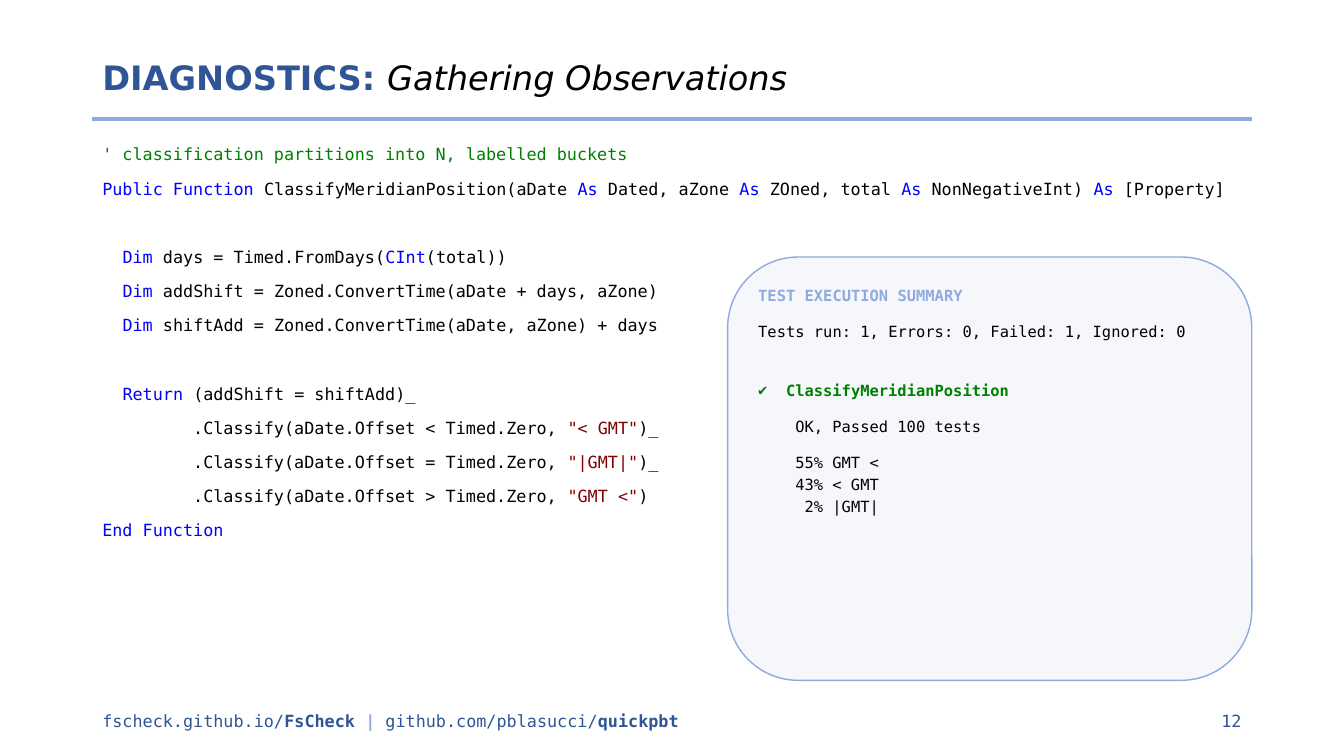
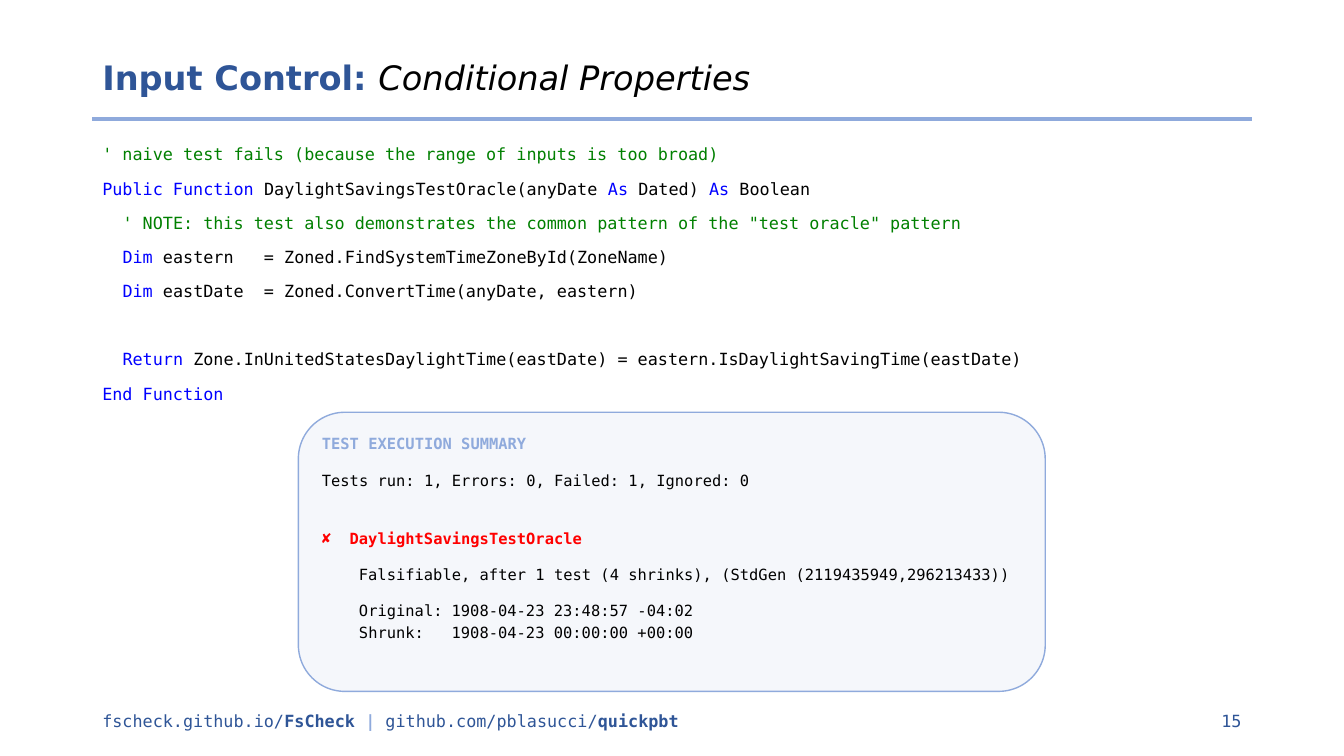
import pptx
import pptx.util
import pptx.dml.color
import pptx.enum.shapes
import pptx.enum.text
import pptx.oxml.ns
import lxml.etree
from dataclasses import dataclass

Pt = pptx.util.Pt
qn = pptx.oxml.ns.qn
Align = pptx.enum.text.PP_ALIGN
Anchor = pptx.enum.text.MSO_ANCHOR


@dataclass(frozen=True)
class Theme:
    sans: str = "DejaVu Sans"
    mono: str = "DejaVu Sans Mono"
    navy: str = "2F5597"
    sky: str = "8FAADC"
    pale: str = "DAE3F3"
    black: str = "000000"
    blue: str = "0000FF"
    green: str = "008000"
    maroon: str = "800000"
    red: str = "FF0000"
    head: float = 24
    body: float = 12
    small: float = 11
    gap: float = 10
    row: float = 14.4
    left: float = 66
    wide: float = 828


class Deck:
    def __init__(self, theme):
        self.theme = theme
        self.prs = pptx.Presentation()
        self.prs.slide_width, self.prs.slide_height = Pt(960), Pt(540)
        self.slide = None

    def color(self, code):
        return pptx.dml.color.RGBColor.from_string(code)

    def run(self, para, text, color, size=None, face=None, bold=False, italic=False):
        run = para.add_run()
        run.text = text
        font = run.font
        font.name = face or self.theme.mono
        font.size = Pt(size or self.theme.body)
        font.bold, font.italic = bold, italic
        font.color.rgb = self.color(color)

    def box(self, x, y, w, h, anchor=Anchor.MIDDLE):
        frame = self.slide.shapes.add_textbox(Pt(x), Pt(y), Pt(w), Pt(h)).text_frame
        frame.word_wrap = True
        frame.vertical_anchor = anchor
        return frame

    def page(self, topic, title, number):
        t = self.theme
        self.slide = self.prs.slides.add_slide(self.prs.slide_layouts[6])
        para = self.box(t.left, 29, t.wide, 56).paragraphs[0]
        para.line_spacing = 0.9
        self.run(para, topic + " ", t.navy, t.head, t.sans, bold=True)
        self.run(para, title, t.black, t.head, t.sans, italic=True)
        self.rule(85)
        self.foot(number)

    def rule(self, y):
        t = self.theme
        kind = pptx.enum.shapes.MSO_CONNECTOR.STRAIGHT
        line = self.slide.shapes.add_connector(kind, Pt(t.left), Pt(y), Pt(t.left + t.wide), Pt(y))
        line.line.color.rgb = self.color(t.sky)
        line.line.width = Pt(2.25)
        lxml.etree.SubElement(line.element.spPr, qn("a:effectLst"))

    def foot(self, number):
        t = self.theme
        para = self.box(t.left, 500.4, 576, 28.8).paragraphs[0]
        self.run(para, "fscheck.github.io/", t.navy)
        self.run(para, "FsCheck ", t.navy, bold=True)
        self.run(para, "| ", t.sky, bold=True)
        self.run(para, "github.com/pblasucci/", t.navy)
        self.run(para, "quickpbt", t.navy, bold=True)
        para = self.box(678, 500.4, 216, 28.8).paragraphs[0]
        para.alignment = Align.RIGHT
        self.run(para, str(number), t.navy)

    def code(self, text, height):
        t = self.theme
        tints = {"'": t.green, '"': t.maroon}
        frame = self.box(t.left, 99.4, t.wide, height, Anchor.TOP)
        para, gap = frame.paragraphs[0], 0
        for line in text.strip("\n").split("\n"):
            if not line:
                gap += t.gap + t.row
                continue
            if para.runs:
                para = frame.add_paragraph()
                para.space_before = Pt(gap)
            for i, part in enumerate(line.split("`")):
                if part:
                    tint = tints.get(part[0], t.blue) if i % 2 else t.black
                    self.run(para, part, tint)
            gap = t.gap

    def panel(self, x, y, w, h, mark, name, tint, lines):
        t = self.theme
        kind = pptx.enum.shapes.MSO_SHAPE.ROUNDED_RECTANGLE
        shape = self.slide.shapes.add_shape(kind, Pt(x), Pt(y), Pt(w), Pt(h))
        shape.shadow.inherit = False
        shape.fill.solid()
        shape.fill.fore_color.rgb = self.color(t.pale)
        fill = shape.element.spPr.find(qn("a:solidFill")).find(qn("a:srgbClr"))
        lxml.etree.SubElement(fill, qn("a:alpha"), val="25000")
        shape.line.color.rgb = self.color(t.sky)
        shape.line.width = Pt(1)
        frame = shape.text_frame
        frame.word_wrap = True
        frame.vertical_anchor = Anchor.TOP
        self.entry(frame, "TEST EXECUTION SUMMARY", t.sky, bold=True)
        self.entry(frame, "Tests run: 1, Errors: 0, Failed: 1, Ignored: 0", gap=t.gap)
        self.entry(frame, name, tint, gap=t.gap + 15.7, mark=mark, left=3, hang=3, bold=True)
        for text, gap, left, hang in lines:
            self.entry(frame, text, gap=gap, left=left, hang=hang)

    def entry(self, frame, text, tint=None, gap=0, left=0, hang=0, mark=None, bold=False):
        t = self.theme
        para = frame.paragraphs[0]
        if para.runs:
            para = frame.add_paragraph()
            para.space_before = Pt(gap)
        cell = t.small * 0.602
        props = para._p.get_or_add_pPr()
        props.set("marL", str(Pt(left * cell)))
        props.set("indent", str(-Pt(hang * cell)))
        if mark:
            lxml.etree.SubElement(props, qn("a:buFont"), typeface=t.mono)
            lxml.etree.SubElement(props, qn("a:buChar"), char=mark)
        para.line_spacing = 1.2
        para.alignment = Align.LEFT
        self.run(para, text, tint or t.black, t.small, bold=bold)


CLASSIFY = """
`' classification partitions into N, labelled buckets`
`Public Function` ClassifyMeridianPosition(aDate `As` Dated, aZone `As` ZOned, total `As` NonNegativeInt) `As` [Property]

  `Dim` days = Timed.FromDays(`CInt`(total))
  `Dim` addShift = Zoned.ConvertTime(aDate + days, aZone)
  `Dim` shiftAdd = Zoned.ConvertTime(aDate, aZone) + days

  `Return` (addShift = shiftAdd)_
         .Classify(aDate.Offset < Timed.Zero, `"< GMT"`)_
         .Classify(aDate.Offset = Timed.Zero, `"|GMT|"`)_
         .Classify(aDate.Offset > Timed.Zero, `"GMT <"`)
`End Function`
"""

ORACLE = """
`' naive test fails (because the range of inputs is too broad)`
`Public Function` DaylightSavingsTestOracle(anyDate `As` Dated) `As` Boolean
  `' NOTE: this test also demonstrates the common pattern of the "test oracle" pattern`
  `Dim` eastern   = Zoned.FindSystemTimeZoneById(ZoneName)
  `Dim` eastDate  = Zoned.ConvertTime(anyDate, eastern)

  `Return` Zone.InUnitedStatesDaylightTime(eastDate) = eastern.IsDaylightSavingTime(eastDate)
`End Function`
"""


def main():
    theme = Theme()
    gap = theme.gap
    deck = Deck(theme)

    deck.page("DIAGNOSTICS:", "Gathering Observations", 12)
    deck.code(CLASSIFY, 386.6)
    deck.panel(519.8, 183.6, 374.4, 302.4, "✔", "ClassifyMeridianPosition", theme.green, [
        ("OK, Passed 100 tests", gap, 4, 0),
        ("55% GMT <", gap, 4, 0),
        ("43% < GMT", 0, 4, 0),
        ("2% |GMT|", 0, 5, 0),
    ])

    deck.page("Input Control:", "Conditional Properties", 15)
    deck.code(ORACLE, 188)
    deck.panel(213.1, 294.5, 533.5, 199.4, "✘", "DaylightSavingsTestOracle", theme.red, [
        ("Falsifiable, after 1 test (4 shrinks), (StdGen (2119435949,296213433))", gap, 4, 0),
        ("Original:\t1908-04-23 23:48:57 -04:02", gap, 14, 10),
        ("Shrunk:\t1908-04-23 00:00:00 +00:00", 0, 14, 10),
    ])

    deck.prs.save("out.pptx")


if __name__ == "__main__":
    main()
